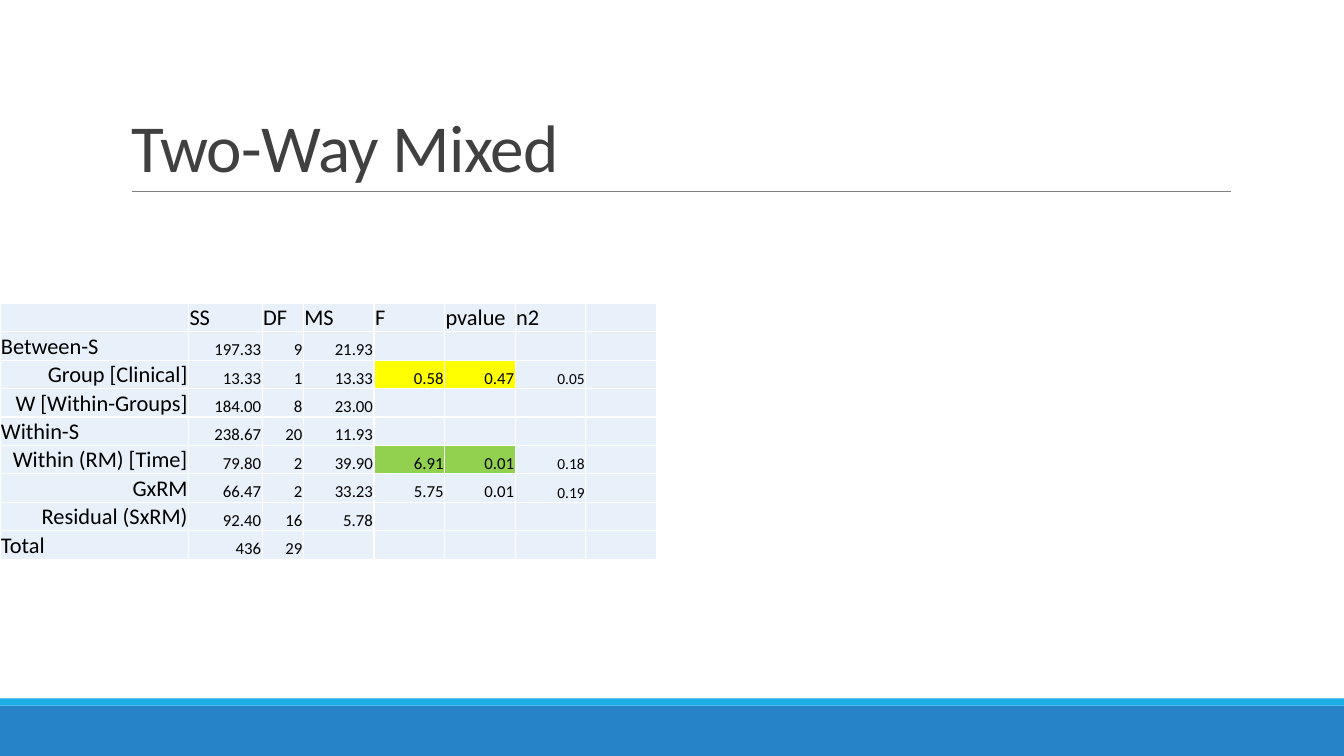
"""Build the Two-Way Mixed ANOVA summary slide."""
from dataclasses import dataclass

from lxml import etree
from pptx import Presentation
from pptx.dml.color import RGBColor
from pptx.enum.shapes import MSO_CONNECTOR, MSO_SHAPE
from pptx.enum.text import MSO_ANCHOR, PP_ALIGN
from pptx.oxml.ns import qn
from pptx.util import Inches, Pt

RECT, LINE = MSO_SHAPE.RECTANGLE, MSO_CONNECTOR.STRAIGHT
BOTTOM, LEFT, RIGHT = MSO_ANCHOR.BOTTOM, PP_ALIGN.LEFT, PP_ALIGN.RIGHT


@dataclass(frozen=True)
class Theme:
    font: str = "Calibri"
    title: str = "404040"
    text: str = "000000"
    rule: str = "808080"
    border: str = "FFFFFF"
    cell: str = "E8F1FA"
    yellow: str = "FFFF00"
    green: str = "92D050"
    title_size: int = 48
    label_size: int = 16
    number_size: int = 12
    effect_size: int = 11


T = Theme()
TITLE = "Two-Way Mixed"
HEADER = ["", "SS", "DF", "MS", "F", "pvalue", "n2", ""]
ROWS = [
    ["Between-S", "197.33", "9", "21.93"],
    ["Group [Clinical]", "13.33", "1", "13.33", "0.58", "0.47", "0.05"],
    ["W [Within-Groups]", "184.00", "8", "23.00"],
    ["Within-S", "238.67", "20", "11.93"],
    ["Within (RM) [Time]", "79.80", "2", "39.90", "6.91", "0.01", "0.18"],
    ["GxRM", "66.47", "2", "33.23", "5.75", "0.01", "0.19"],
    ["Residual (SxRM)", "92.40", "16", "5.78"],
    ["Total", "436", "29"],
]
MAIN_SOURCES = {"Between-S", "Within-S", "Total"}
HIGHLIGHTS = {"Group [Clinical]": T.yellow, "Within (RM) [Time]": T.green}
TEST_COLS = (HEADER.index("F"), HEADER.index("pvalue"))
EFFECT_COL = HEADER.index("n2")
COL_WIDTHS = [1.87, 0.73, 0.41] + [0.7] * 5
ROW_HEIGHT = 0.28
BARS = [(7, 0.5, "2683C6"), (6.93, 0.07, "1CADE4")]


def rgb(color):
    return RGBColor.from_string(color)


def add_run(p, text, size, color):
    r = p.add_run()
    r.text = text
    r.font.name, r.font.size = T.font, Pt(size)
    r.font.color.rgb = rgb(color)
    return r


def add_borders(cell):
    tc_pr = cell._tc.get_or_add_tcPr()
    for i, side in enumerate(("lnL", "lnR", "lnT", "lnB")):
        ln = etree.Element(qn(f"a:{side}"), w=str(Pt(1)))
        fill = etree.SubElement(ln, qn("a:solidFill"))
        etree.SubElement(fill, qn("a:srgbClr"), val=T.border)
        tc_pr.insert(i, ln)


def fill_cell(cell, text, size, align, fill):
    cell.margin_left = cell.margin_right = cell.margin_top = Inches(0.01)
    cell.margin_bottom = 0
    cell.vertical_anchor = BOTTOM
    cell.fill.solid()
    cell.fill.fore_color.rgb = rgb(fill)
    add_borders(cell)
    p = cell.text_frame.paragraphs[0]
    p.alignment = align
    if text:
        add_run(p, text, size, T.text)
    else:
        etree.SubElement(p._p, qn("a:endParaRPr"), sz=str(T.number_size * 100))


def cell_style(row, col, source):
    if row == 0:
        return T.label_size, LEFT, T.cell
    if col == 0:
        return T.label_size, LEFT if source in MAIN_SOURCES else RIGHT, T.cell
    size = T.effect_size if col == EFFECT_COL else T.number_size
    fill = HIGHLIGHTS.get(source, T.cell) if col in TEST_COLS else T.cell
    return size, RIGHT, fill


def add_title(s):
    sp = s.shapes.title
    sp.left, sp.top = Inches(1.2), Inches(0.31)
    sp.width, sp.height = Inches(11), Inches(1.59)
    tf = sp.text_frame
    tf.word_wrap, tf.vertical_anchor = True, BOTTOM
    p = tf.paragraphs[0]
    p.alignment, p.line_spacing = LEFT, 0.85
    r = add_run(p, TITLE, T.title_size, T.title)
    r.font._element.set("spc", "-50")


def add_decor(s):
    for top, height, color in BARS:
        sp = s.shapes.add_shape(RECT, 0, Inches(top), prs.slide_width, Inches(height))
        sp.shadow.inherit = False
        sp.fill.solid()
        sp.fill.fore_color.rgb = rgb(color)
        sp.line.fill.background()
    rule = s.shapes.add_connector(LINE, Inches(1.31), Inches(1.9), Inches(12.21), Inches(1.9))
    rule.line.color.rgb, rule.line.width = rgb(T.rule), Pt(0.5)
    etree.SubElement(rule._element.spPr, qn("a:effectLst"))


def add_anova_table(s):
    rows = [HEADER] + ROWS
    table = s.shapes.add_table(
        len(rows), len(HEADER), 0, Inches(3.01),
        Inches(sum(COL_WIDTHS)), Inches(ROW_HEIGHT * len(rows))).table
    for column, width in zip(table.columns, COL_WIDTHS):
        column.width = Inches(width)
    for i, values in enumerate(rows):
        table.rows[i].height = Inches(ROW_HEIGHT)
        for j in range(len(HEADER)):
            text = values[j] if j < len(values) else ""
            fill_cell(table.cell(i, j), text, *cell_style(i, j, values[0]))


prs = Presentation()
prs.slide_width, prs.slide_height = Inches(13.33), Inches(7.5)
s = prs.slides.add_slide(prs.slide_layouts[5])
add_decor(s)
add_title(s)
add_anova_table(s)
prs.save("out.pptx")
